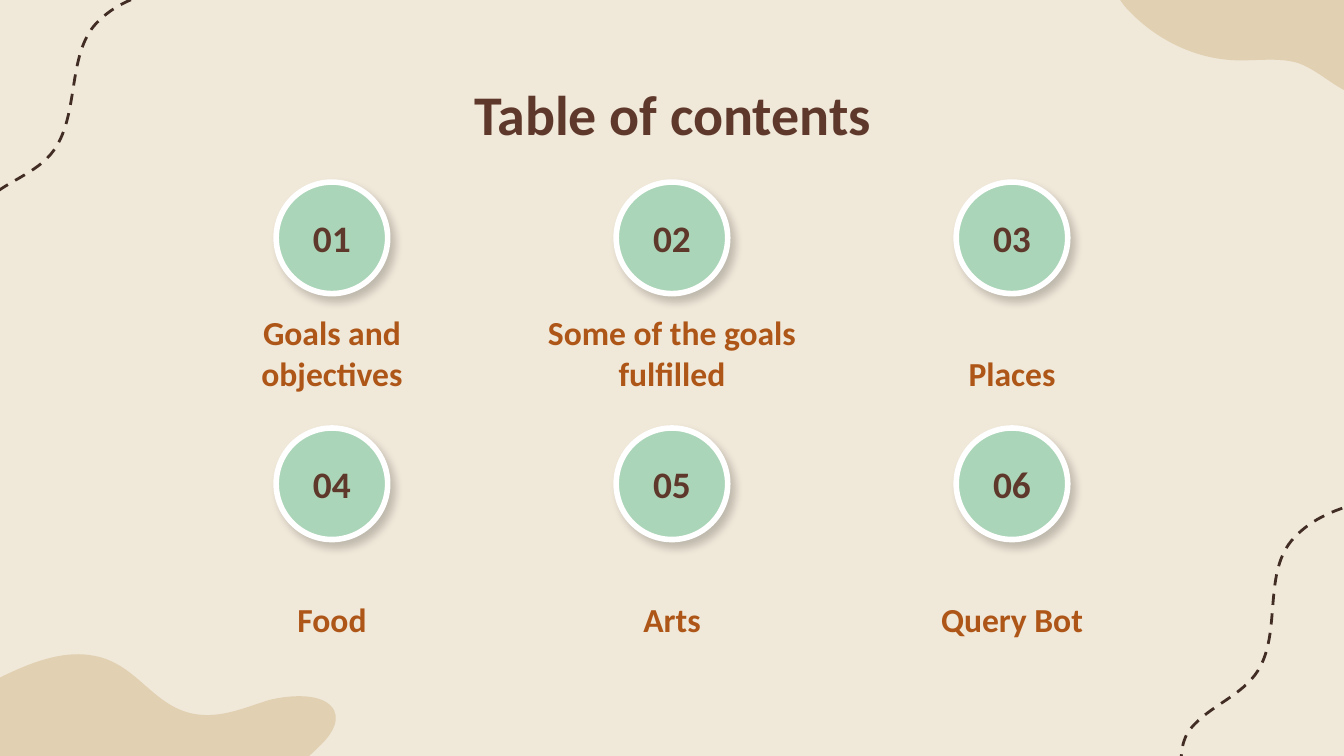
from lxml import etree
from pptx import Presentation
from pptx.dml.color import RGBColor
from pptx.enum.dml import MSO_LINE
from pptx.enum.shapes import MSO_SHAPE
from pptx.enum.text import MSO_ANCHOR, MSO_AUTO_SIZE, PP_ALIGN
from pptx.oxml.ns import qn
from pptx.util import Inches, Pt

OVAL = MSO_SHAPE.OVAL
DASH = MSO_LINE.DASH
TOP, MIDDLE, BOTTOM = MSO_ANCHOR.TOP, MSO_ANCHOR.MIDDLE, MSO_ANCHOR.BOTTOM
CENTER = PP_ALIGN.CENTER
NO_FIT = MSO_AUTO_SIZE.NONE

WIDTH = 10
HEIGHT = WIDTH * 9 / 16
COLS = 3
COL_GAP, ROW_GAP = 2.53, 1.83
FIRST_X, FIRST_Y = WIDTH / 2 - COL_GAP, 1.77
DISC = 0.83
BROWN, RUST, MINT, SAND = "5E392B", "AE5618", "ABD5B8", "E1D0B1"
CREAM, DARK, WHITE = "F0E8D9", "422D25", "FFFFFF"

TOPICS = ["Goals and objectives", "Some of the goals fulfilled", "Places",
          "Food", "Arts", "Query Bot"]

# Each curve is a start point, then two handles and an end per segment.
TRAILS = [
    [(-0.2, 1.93), (-0.22, 1.79), (-0.22, 1.61), (-0.12, 1.51),
     (0.03, 1.35), (0.27, 1.3), (0.4, 1.12), (0.6, 0.84), (0.49, 0.38),
     (0.74, 0.15), (1.03, -0.13), (1.5, -0.09), (1.9, -0.15)],
    [(8.81, 5.84), (8.78, 5.7), (8.77, 5.53), (8.86, 5.42),
     (9, 5.25), (9.24, 5.18), (9.36, 4.99), (9.54, 4.7), (9.39, 4.25),
     (9.63, 4), (9.9, 3.71), (10.37, 3.71), (10.76, 3.62)],
]
BLOBS = [
    [(0.11, 4.99), (0.29, 4.91), (0.5, 4.84), (0.7, 4.88),
     (1.04, 4.94), (1.15, 5.3), (1.51, 5.32), (1.68, 5.33), (1.84, 5.26),
     (2, 5.21), (2.16, 5.17), (2.37, 5.16), (2.46, 5.25),
     (2.55, 5.34), (2.47, 5.47), (2.37, 5.56), (2.04, 5.89), (1.51, 6.11),
     (0.96, 6.17), (0.71, 6.19), (0.44, 6.19), (0.21, 6.27),
     (-0.08, 6.37), (-0.27, 6.58), (-0.58, 6.65), (-0.76, 6.68),
     (-0.95, 6.66), (-1.09, 6.59), (-1.52, 6.37), (-1.15, 5.97),
     (-0.92, 5.72), (-0.66, 5.43), (-0.31, 5.18), (0.11, 4.99)],
    [(9.63, -0.6), (9.52, -0.65), (9.39, -0.69), (9.28, -0.64),
     (9.09, -0.56), (9.06, -0.26), (8.85, -0.21), (8.76, -0.19),
     (8.66, -0.23), (8.57, -0.26), (8.48, -0.28), (8.35, -0.28),
     (8.31, -0.19), (8.26, -0.11), (8.32, -0.01), (8.38, 0.06),
     (8.6, 0.3), (8.91, 0.45), (9.23, 0.45), (9.38, 0.45), (9.53, 0.43),
     (9.66, 0.47), (9.83, 0.53), (9.96, 0.69), (10.14, 0.72),
     (10.24, 0.74), (10.35, 0.7), (10.43, 0.63), (10.66, 0.42),
     (10.42, 0.11), (10.27, -0.08), (10.1, -0.29), (9.88, -0.47),
     (9.63, -0.6)],
]


def color(code):
    return RGBColor.from_string(code)


def paint(fill, code):
    fill.solid()
    fill.fore_color.rgb = color(code)


def add_curve(slide, points, closed):
    """Add a freeform whose points, three by three, become Bezier segments."""
    start, *rest = [(Inches(x), Inches(y)) for x, y in points]
    pen = slide.shapes.build_freeform(*start)
    pen.add_line_segments(rest, close=closed)
    shape = pen.convert_to_shape()
    shape.shadow.inherit = False
    steps = list(shape.element.iter(qn("a:lnTo")))
    for i in range(0, len(steps), 3):
        bend = etree.Element(qn("a:cubicBezTo"))
        steps[i].addprevious(bend)
        for step in steps[i:i + 3]:
            bend.append(step[0])
            step.getparent().remove(step)
    return shape


def add_trail(slide, points):
    trail = add_curve(slide, points, False)
    trail.fill.background()
    trail.line.color.rgb = color(DARK)
    trail.line.width = Pt(1.5)
    trail.line.dash_style = DASH


def add_blob(slide, points):
    blob = add_curve(slide, points, True)
    paint(blob.fill, SAND)
    blob.line.fill.background()


def add_shadow(shape):
    shape.shadow.inherit = False
    effects = shape.element.spPr.find(qn("a:effectLst"))
    outer = etree.SubElement(
        effects, qn("a:outerShdw"), blurRad=str(Pt(4.5)), dist=str(Pt(3.8)),
        dir=str(50 * 60000), algn="bl", rotWithShape="0")
    black = etree.SubElement(outer, qn("a:srgbClr"), val="000000")
    etree.SubElement(black, qn("a:alpha"), val="20000")


def add_disc(slide, x, y):
    disc = slide.shapes.add_shape(
        OVAL, Inches(x - DISC / 2), Inches(y - DISC / 2),
        Inches(DISC), Inches(DISC))
    paint(disc.fill, MINT)
    disc.line.color.rgb = color(WHITE)
    disc.line.width = Pt(3)
    add_shadow(disc)


def set_text(shape, text, size, code, anchor):
    frame = shape.text_frame
    frame.text = text
    frame.word_wrap = True
    frame.auto_size = NO_FIT
    frame.vertical_anchor = anchor
    frame.margin_left = frame.margin_right = Inches(0.1)
    frame.margin_top = frame.margin_bottom = Inches(0.1)
    para = frame.paragraphs[0]
    para.alignment = CENTER
    para.font.name = "Calibri"
    para.font.size = Pt(size)
    para.font.bold = True
    para.font.color.rgb = color(code)


def add_label(slide, x, y, width, height, text, size, code, anchor):
    """Add a text box centred on x, y."""
    box = slide.shapes.add_textbox(
        Inches(x - width / 2), Inches(y - height / 2),
        Inches(width), Inches(height))
    set_text(box, text, size, code, anchor)


def set_title(slide, text):
    title = slide.shapes.title
    title.left, title.top = Inches(0.79), Inches(0.49)
    title.width, title.height = Inches(8.43), Inches(0.63)
    set_text(title, text, 30, BROWN, TOP)


def add_topic(slide, index, text):
    row, col = divmod(index, COLS)
    x, y = FIRST_X + col * COL_GAP, FIRST_Y + row * ROW_GAP
    add_disc(slide, x, y)
    add_label(slide, x, y, 0.8, 0.49, f"{index + 1:02}", 20, BROWN, MIDDLE)
    add_label(slide, x, y + 0.89, 2.29, 0.73, text, 18, RUST, BOTTOM)


def main():
    deck = Presentation()
    deck.slide_width, deck.slide_height = Inches(WIDTH), Inches(HEIGHT)
    slide = deck.slides.add_slide(deck.slide_layouts[5])
    paint(slide.background.fill, CREAM)
    for points in TRAILS:
        add_trail(slide, points)
    for points in BLOBS:
        add_blob(slide, points)
    set_title(slide, "Table of contents")
    for index, text in enumerate(TOPICS):
        add_topic(slide, index, text)
    deck.save("out.pptx")


if __name__ == "__main__":
    main()
